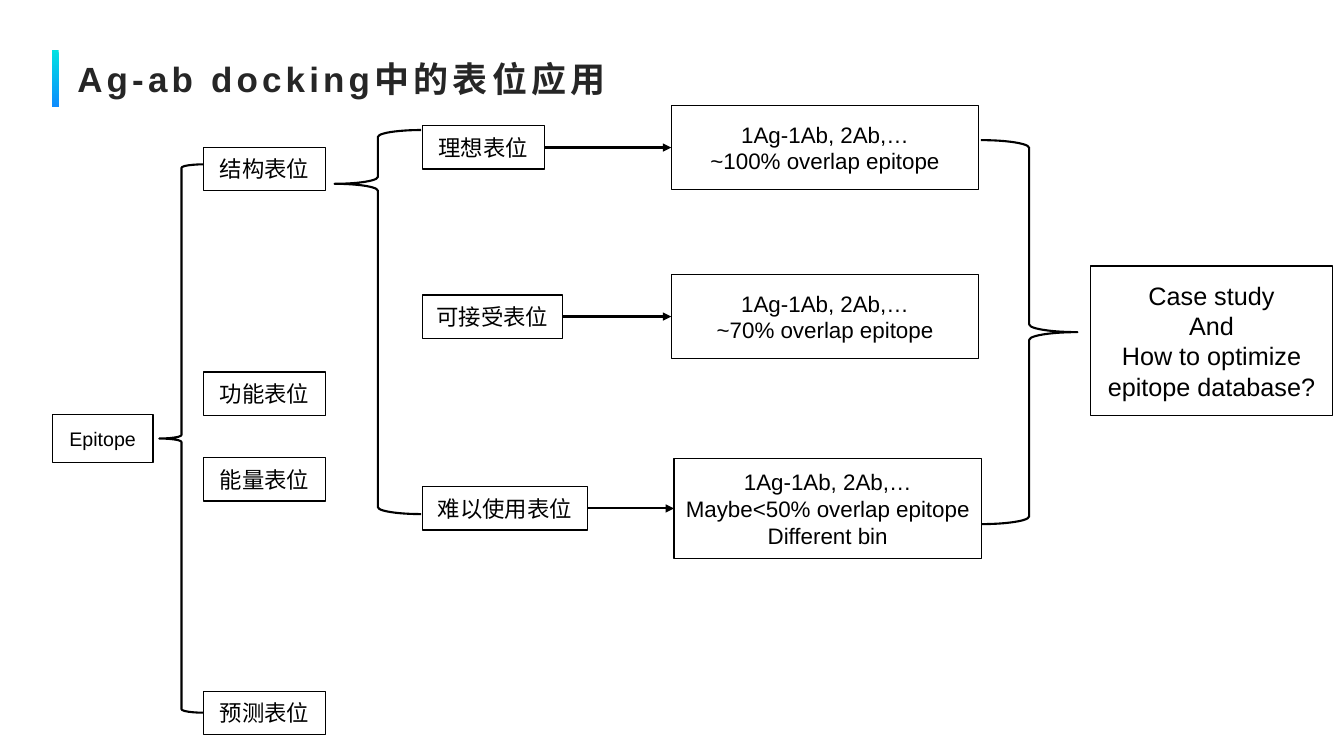
from dataclasses import dataclass

from lxml import etree
from pptx import Presentation
from pptx.dml import color
from pptx.enum import shapes, text
from pptx.oxml import ns
from pptx.util import Pt

Kind = shapes.MSO_SHAPE


@dataclass(frozen=True)
class Theme:
    font: str = "Arial"
    ink: str = "000000"
    paper: str = "FFFFFF"
    head: str = "262626"
    top: str = "00E2E2"
    base: str = "0E8CFE"
    title: float = 25
    large: float = 18
    body: float = 16
    small: float = 14
    thin: float = 1
    thick: float = 1.5


@dataclass(frozen=True)
class Box:
    lines: tuple[str, ...]
    left: float
    mid: float
    width: float
    height: float
    size: float


@dataclass(frozen=True)
class Brace:
    kind: Kind
    left: float
    top: float
    width: float
    height: float
    curl: float
    point: float


@dataclass(frozen=True)
class Grade:
    label: str
    width: float
    mid: float
    notes: tuple[str, ...]
    left: float
    height: float


T = Theme()
ROW = 31
KIND_X, KIND_W = 145.4, 87.1
GRADE_X, NOTE_W = 301.7, 219.6
PAIR = "1Ag-1Ab, 2Ab,…"

KINDS = (("结构表位", 120.7), ("功能表位", 281.3), ("能量表位", 342.3), ("预测表位", 509.3))
GRADES = (
    Grade("理想表位", 87.1, 105.4, (PAIR, "~100% overlap epitope"), 479.5, 59.8),
    Grade("可接受表位", 100.1, 226.1, (PAIR, "~70% overlap epitope"), 479.5, 59.8),
    Grade("难以使用表位", 118.1, 363.2,
          (PAIR, "Maybe<50% overlap epitope", "Different bin"), 481.4, 71.3),
)
BRACES = (
    Brace(Kind.LEFT_BRACE, 113.8, 117.4, 31.7, 391.7, 0.08, 0.5),
    Brace(Kind.LEFT_BRACE, 239, 92.9, 61.9, 274.3, 0.08, 0.14),
    Brace(Kind.RIGHT_BRACE, 700.6, 100.1, 69.1, 274.3, 0.08, 0.5),
)
ROOT = Box(("Epitope",), 37.4, 313.2, 72, 34.6, T.small)
GOAL = Box(("Case study", "And", "How to optimize epitope database?"),
           779, 243.4, 172.8, 106.6, T.large)


def rgb(code: str) -> color.RGBColor:
    return color.RGBColor.from_string(code)


def style(para, size: float, ink: str, bold: bool = False) -> None:
    font = para.font
    font.name, font.size, font.bold = T.font, Pt(size), bold
    font.color.rgb = rgb(ink)


def stroke(item, width: float) -> None:
    item.line.color.rgb = rgb(T.ink)
    item.line.width = Pt(width)


def draw_title(page, words: str) -> None:
    bar = page.shapes.add_shape(Kind.RECTANGLE, Pt(37), Pt(36), Pt(5), Pt(40.5))
    bar.shadow.inherit = False
    bar.line.fill.background()
    bar.fill.gradient()
    bar.fill.gradient_angle = 270
    for stop, code, place in zip(bar.fill.gradient_stops, (T.top, T.base), (0, 1)):
        stop.color.rgb = rgb(code)
        stop.position = place
    frame = page.shapes.add_textbox(Pt(48.2), Pt(36), Pt(864), Pt(40.5)).text_frame
    frame.word_wrap = True
    frame.vertical_anchor = text.MSO_ANCHOR.MIDDLE
    para = frame.paragraphs[0]
    run = para.add_run()
    run.text = words
    style(para, T.title, T.head, True)
    run.font._element.set("spc", "300")


def draw_box(page, box: Box) -> None:
    rect = page.shapes.add_shape(Kind.RECTANGLE, Pt(box.left), Pt(box.mid - box.height / 2),
                                 Pt(box.width), Pt(box.height))
    rect.shadow.inherit = False
    rect.fill.solid()
    rect.fill.fore_color.rgb = rgb(T.paper)
    stroke(rect, T.thin)
    frame = rect.text_frame
    frame.word_wrap = True
    frame.vertical_anchor = text.MSO_ANCHOR.MIDDLE
    frame.text = "\n".join(box.lines)
    for para in frame.paragraphs:
        para.alignment = text.PP_ALIGN.CENTER
        style(para, box.size, T.ink)


def draw_brace(page, brace: Brace) -> None:
    item = page.shapes.add_shape(brace.kind, Pt(brace.left), Pt(brace.top),
                                 Pt(brace.width), Pt(brace.height))
    item.shadow.inherit = False
    item.fill.background()
    stroke(item, T.thick)
    item.adjustments[0] = brace.curl
    item.adjustments[1] = brace.point


def draw_arrow(page, start: float, end: float, mid: float) -> None:
    link = page.shapes.add_connector(shapes.MSO_CONNECTOR.STRAIGHT,
                                     Pt(start), Pt(mid), Pt(end), Pt(mid))
    stroke(link, T.thick)
    etree.SubElement(link.line._get_or_add_ln(), ns.qn("a:tailEnd"), type="triangle")
    etree.SubElement(link._element.spPr, ns.qn("a:effectLst"))


def draw_grade(page, grade: Grade) -> None:
    draw_box(page, Box((grade.label,), GRADE_X, grade.mid, grade.width, ROW, T.body))
    draw_box(page, Box(grade.notes, grade.left, grade.mid, NOTE_W, grade.height, T.body))
    draw_arrow(page, GRADE_X + grade.width, grade.left, grade.mid)


def main() -> None:
    deck = Presentation()
    deck.slide_width, deck.slide_height = Pt(960), Pt(540)
    page = deck.slides.add_slide(deck.slide_layouts[6])
    draw_title(page, "Ag-ab docking中的表位应用")
    for brace in BRACES:
        draw_brace(page, brace)
    draw_box(page, ROOT)
    for label, mid in KINDS:
        draw_box(page, Box((label,), KIND_X, mid, KIND_W, ROW, T.body))
    for grade in GRADES:
        draw_grade(page, grade)
    draw_box(page, GOAL)
    deck.save("out.pptx")


if __name__ == "__main__":
    main()
